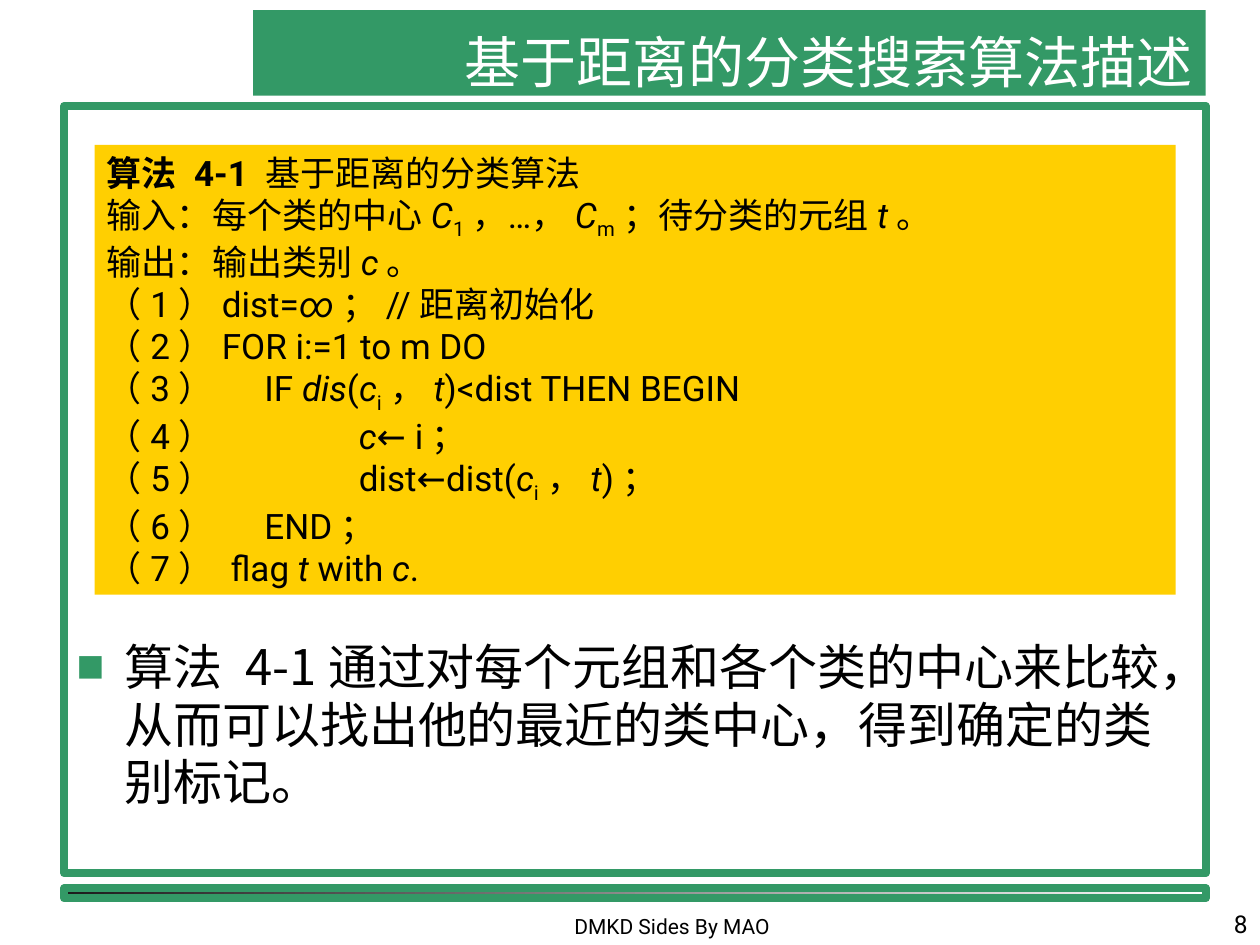
"""Build the slide describing the distance-based classification algorithm."""
from lxml.etree import SubElement
from pptx import Presentation
from pptx.dml.color import RGBColor
from pptx.enum.shapes import MSO_SHAPE
from pptx.enum.text import MSO_ANCHOR, PP_ALIGN
from pptx.oxml.ns import qn
from pptx.util import Inches, Pt

THEME = {
    "green": "339966", "yellow": "FFCF01", "black": "000000", "white": "FFFFFF",
    "dark": "1C1C1C", "border": 4.5,
    "title": 32, "body": 28, "code": 20, "footer": 12, "number": 14,
    "latin": "Roboto", "title_font": "Noto Sans CJK SC", "body_font": "Noto Sans CJK JP",
}

TITLE = "基于距离的分类搜索算法描述"
SUMMARY = "算法 4-1通过对每个元组和各个类的中心来比较，从而可以找出他的最近的类中心，得到确定的类别标记。"
FOOTER = "DMKD Sides By MAO"
PAGE_NUMBER = "8"
ALGORITHM = [
    [("算法 4-1 ", "bold"), "基于距离的分类算法"],
    ["输入：每个类的中心", ("C", "italic"), ("1", "sub"), "，…，", ("C", "italic"),
     ("m", "sub"), "；待分类的元组", ("t", "italic"), "。"],
    ["输出：输出类别", ("c", "italic"), "。"],
    ["（1）dist=", ("∞", "italic"), "；//距离初始化"],
    ["（2）FOR i:=1 to m DO"],
    ["（3）\tIF ", ("dis", "italic"), "(", ("c", "italic"), ("i", "sub"), "，",
     ("t", "italic"), ")<dist THEN BEGIN"],
    ["（4）\t\t", ("c", "italic"), "← i；"],
    ["（5）\t\tdist←dist(", ("c", "italic"), ("i", "sub"), "，", ("t", "italic"), ")；"],
    ["（6）\tEND；"],
    ["（7） flag ", ("t", "italic"), " with ", ("c", "italic"), "."],
]
CODE_TABS = (1.25, 2)

FRAME_LEFT, FRAME_WIDTH = 0.51, 9.06


def color(name):
    return RGBColor.from_string(THEME[name])


def add_panel(slide, box, fill=None, border=None):
    panel = slide.shapes.add_shape(MSO_SHAPE.RECTANGLE, *map(Inches, box))
    panel.shadow.inherit = False
    if fill:
        panel.fill.solid()
        panel.fill.fore_color.rgb = color(fill)
    else:
        panel.fill.background()
    if border:
        panel.line.color.rgb = color(border)
        panel.line.width = Pt(THEME["border"])
    else:
        panel.line.fill.background()
    return panel


def add_bullet(paragraph, indent):
    properties = paragraph._p.get_or_add_pPr()
    properties.set("marL", str(Inches(indent)))
    properties.set("indent", str(-Inches(indent)))
    bullet_color = SubElement(properties, qn("a:buClr"))
    SubElement(bullet_color, qn("a:srgbClr"), val=THEME["green"])
    SubElement(properties, qn("a:buSzPct"), val="60000")
    SubElement(properties, qn("a:buFont"), typeface=THEME["latin"])
    SubElement(properties, qn("a:buChar"), char="■")


def add_tabs(paragraph, stops):
    tab_list = SubElement(paragraph._p.get_or_add_pPr(), qn("a:tabLst"))
    for stop in stops:
        SubElement(tab_list, qn("a:tab"), pos=str(Inches(stop)), algn="l")


def write(holder, lines, size, font="latin", ink="black", align=PP_ALIGN.LEFT,
          anchor=MSO_ANCHOR.TOP, top=0.05, bottom=0.05, spacing=None, bullet=None, tabs=()):
    frame = holder.text_frame
    frame.word_wrap = True
    frame.vertical_anchor = anchor
    frame.margin_top, frame.margin_bottom = Inches(top), Inches(bottom)
    for index, line in enumerate(lines):
        paragraph = frame.add_paragraph() if index else frame.paragraphs[0]
        paragraph.alignment = align
        if spacing:
            paragraph.line_spacing = Pt(spacing)
        if bullet:
            add_bullet(paragraph, bullet)
        if tabs:
            add_tabs(paragraph, tabs)
        for part in line:
            text, style = (part, None) if isinstance(part, str) else part
            run = paragraph.add_run()
            run.text = text
            run.font.size = Pt(THEME[size])
            run.font.name = THEME[font]
            run.font.color.rgb = color(ink)
            run.font.bold = style == "bold"
            run.font.italic = style == "italic"
            properties = run._r.get_or_add_rPr()
            properties.set("lang", "zh-CN")
            if style == "sub":
                properties.set("baseline", "-25000")
            SubElement(properties, qn("a:ea"), typeface=THEME[font])


def main():
    deck = Presentation()
    deck.slide_width, deck.slide_height = Inches(10), Inches(7.5)
    slide = deck.slides.add_slide(deck.slide_layouts[6])

    footer_rule = add_panel(slide, (FRAME_LEFT, 7.05, FRAME_WIDTH, 0.08), border="green")
    footer_rule.fill.gradient()
    footer_rule.fill.gradient_angle = 0
    for stop, name in zip(footer_rule.fill.gradient_stops, ("dark", "white")):
        stop.color.rgb = color(name)

    footer = slide.shapes.add_textbox(*map(Inches, (3.75, 7.08, 3.17, 0.42)))
    write(footer, [[FOOTER]], "footer", align=PP_ALIGN.CENTER, anchor=MSO_ANCHOR.BOTTOM)
    page_number = slide.shapes.add_textbox(*map(Inches, (7.92, 7, 2.08, 0.5)))
    write(page_number, [[PAGE_NUMBER]], "number", align=PP_ALIGN.RIGHT,
          anchor=MSO_ANCHOR.BOTTOM)

    title = add_panel(slide, (2.01, 0.08, 7.56, 0.68), fill="green")
    write(title, [[TITLE]], "title", font="title_font", ink="white",
          align=PP_ALIGN.RIGHT, anchor=MSO_ANCHOR.BOTTOM, bottom=0.01)

    summary = add_panel(slide, (FRAME_LEFT, 0.84, FRAME_WIDTH, 6.09), border="green")
    write(summary, [[SUMMARY]], "body", font="body_font", top=4.22, spacing=33, bullet=0.38)

    algorithm = add_panel(slide, (0.75, 1.15, 8.58, 3.57), fill="yellow")
    write(algorithm, ALGORITHM, "code", tabs=CODE_TABS)

    deck.save("out.pptx")


if __name__ == "__main__":
    main()
